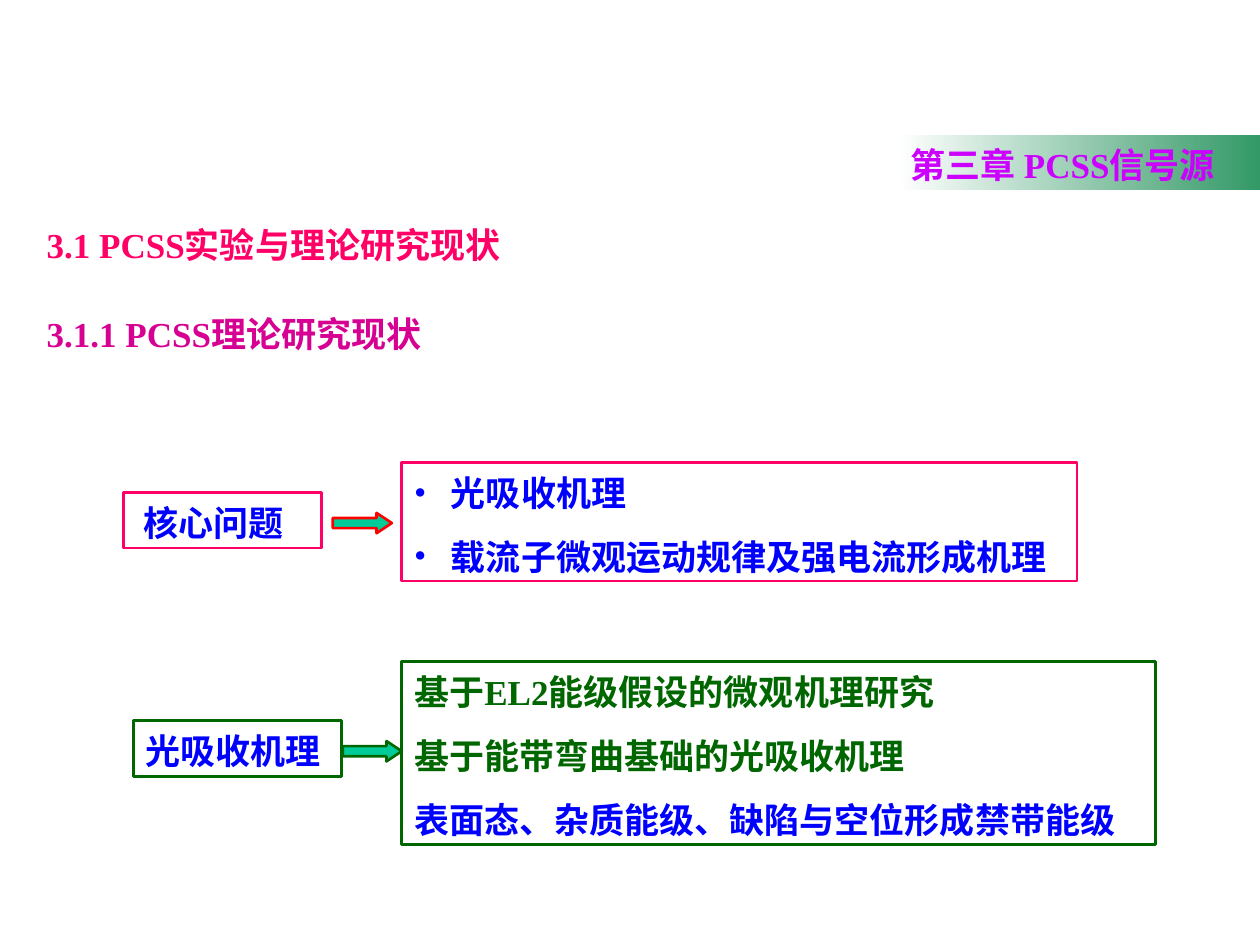
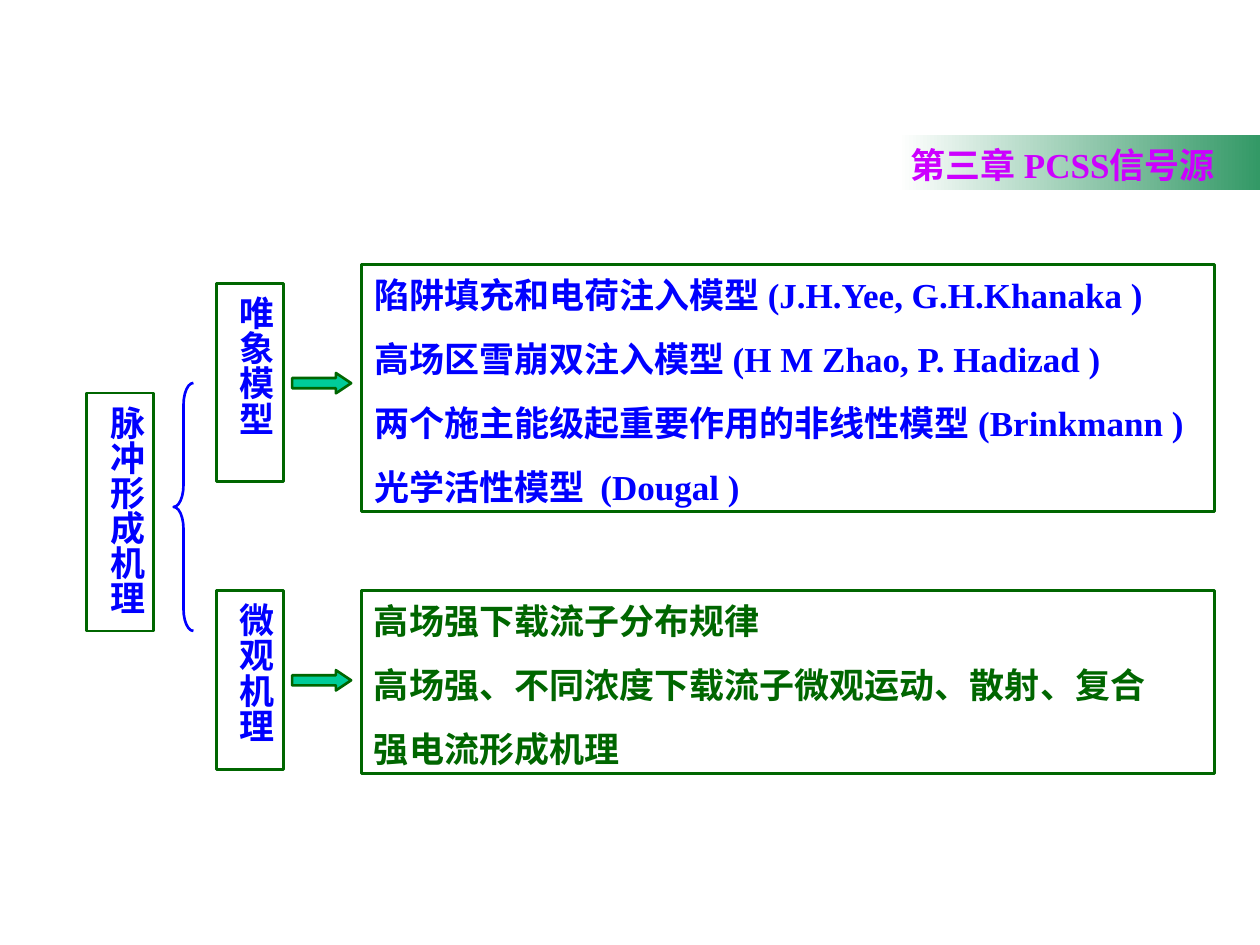
from lxml.etree import SubElement
from pptx import Presentation
from pptx.dml.color import RGBColor
from pptx.enum.shapes import MSO_SHAPE as Preset
from pptx.enum.text import MSO_ANCHOR as Anchor, MSO_AUTO_SIZE as AutoSize, PP_ALIGN as Align
from pptx.oxml.ns import qn
from pptx.util import Cm, Pt

COLOURS = {
    "white": "FFFFFF", "band": "339966", "chapter": "CC00FF",
    "pink": "FF0066", "magenta": "D60093", "blue": "0000FF",
    "green": "006600", "red": "FF0000", "arrow": "00CC99",
}
LATIN, CHINESE = "Times New Roman", "Noto Sans CJK SC"
CHAPTER = "第三章 PCSS信号源"
ROW = 1.12  # height of a one-line box, cm


def colour(name):
    return RGBColor.from_string(COLOURS[name])


class Builder:
    """Holds the deck's style and the page being filled."""

    def __init__(self):
        self.deck = Presentation()
        self.deck.slide_width, self.deck.slide_height = Cm(25.4), Cm(19.05)
        self.page = None

    def new_page(self):
        """Start a page with the chapter band as its title."""
        self.page = self.deck.slides.add_slide(self.deck.slide_layouts[1])
        band = self.page.shapes.title
        self.place(band, 18.11, 2.72, 7.29, ROW)
        band.fill.gradient()
        band.fill.gradient_angle = 0
        for stop, name in zip(band.fill.gradient_stops, ("white", "band")):
            stop.color.rgb = colour(name)
        self.set_text(band, [CHAPTER], "chapter")

    def place(self, shape, left, top, width, height):
        shape.left, shape.top = Cm(left), Cm(top)
        shape.width, shape.height = Cm(width), Cm(height)

    def outline(self, shape, name):
        shape.line.color.rgb = colour(name)
        shape.line.width = Pt(1.5)

    def set_text(self, shape, lines, ink, bullet=False, vertical=False):
        """Fill a shape with lines; a line may be a (text, colour) pair."""
        frame = shape.text_frame
        frame.word_wrap = True
        frame.auto_size = AutoSize.NONE
        frame.vertical_anchor = Anchor.TOP
        if vertical:
            frame._txBody.bodyPr.set("vert", "eaVert")
            frame.margin_left = frame.margin_right = Cm(0.13)
            frame.margin_top = frame.margin_bottom = Cm(0.25)
        else:
            frame.margin_left = frame.margin_right = Cm(0.25)
            frame.margin_top, frame.margin_bottom = Cm(0.18), Cm(0.08)
        for number, line in enumerate(lines):
            text, name = line if isinstance(line, tuple) else (line, ink)
            para = frame.add_paragraph() if number else frame.paragraphs[0]
            para.text = text
            para.alignment = Align.CENTER if vertical else Align.LEFT
            para.space_before = Pt(12.5 if number else 0)
            if not vertical:
                para.line_spacing = Pt(24)
            para.font.size, para.font.bold = Pt(20), True
            para.font.name = CHINESE if vertical else LATIN
            para.font.color.rgb = colour(name)
            self.finish(para, name, bullet)

    def finish(self, para, name, bullet):
        """Set the East Asian font, the indent and the bullet."""
        props = para._p.get_or_add_pPr()
        default = props.find(qn("a:defRPr"))
        SubElement(default, qn("a:ea")).set("typeface", CHINESE)
        indent = Cm(0.58) if bullet else 0
        props.set("marL", str(indent))
        props.set("indent", str(-indent))
        if bullet:
            tint = SubElement(props, qn("a:buClr"))
            SubElement(tint, qn("a:srgbClr")).set("val", COLOURS[name])
            SubElement(props, qn("a:buFont")).set("typeface", LATIN)
            SubElement(props, qn("a:buChar")).set("char", "•")
        else:
            SubElement(props, qn("a:buNone"))
        props.append(default)

    def heading(self, top, text, ink):
        box = self.page.shapes.add_textbox(Cm(0.69), Cm(top), Cm(13), Cm(ROW))
        self.set_text(box, [text], ink)

    def preset(self, kind, place, edge, fill=None):
        shape = self.page.shapes.add_shape(kind, *map(Cm, place))
        shape.shadow.inherit = False
        if fill:
            shape.fill.solid()
            shape.fill.fore_color.rgb = colour(fill)
        else:
            shape.fill.background()
        self.outline(shape, edge)
        return shape

    def box(self, place, lines, ink="blue", edge="green", vertical=False):
        shape = self.preset(Preset.RECTANGLE, place, edge)
        self.set_text(shape, lines, ink, vertical=vertical)

    def main_list(self, place, lines, edge="green", bullet=False):
        body = self.page.placeholders[1]
        self.place(body, *place)
        self.outline(body, edge)
        self.set_text(body, lines, "blue", bullet)

    def arrow(self, left, top, edge="green"):
        shape = self.preset(Preset.RIGHT_ARROW, (left, top, 1.19, 0.41), edge, "arrow")
        shape.adjustments[0], shape.adjustments[1] = 0.5, 0.75

    def brace(self, place):
        shape = self.preset(Preset.LEFT_BRACE, place, "blue")
        shape.adjustments[0], shape.adjustments[1] = 1.1, 0.5


def theory_page(build):
    build.new_page()
    build.heading(4.32, "3.1 PCSS实验与理论研究现状", "pink")
    build.heading(6.12, "3.1.1 PCSS理论研究现状", "magenta")

    # Core questions
    build.box((2.49, 9.93, 3.99, ROW), [" 核心问题"], edge="pink")
    build.arrow(6.71, 10.34, "red")
    build.main_list((8.1, 9.32, 13.61, 2.39),
                    [" 光吸收机理", " 载流子微观运动规律及强电流形成机理"],
                    edge="pink", bullet=True)

    # Light absorption
    build.box((2.69, 14.53, 4.19, ROW), ["光吸收机理"])
    build.arrow(6.91, 14.94)
    build.box((8.1, 13.34, 15.19, 3.68),
              ["基于EL2能级假设的微观机理研究",
               "基于能带弯曲基础的光吸收机理",
               ("表面态、杂质能级、缺陷与空位形成禁带能级", "blue")], "green")


def pulse_page(build):
    build.new_page()

    # Root and its two branches
    build.box((1.75, 7.92, 1.35, 4.8), ["脉冲形成机理"], vertical=True)
    build.brace((3.5, 7.72, 0.4, 5))
    for name, top, height, arrow_top in (("唯象模型", 5.72, 3.99, 7.52),
                                         ("微观机理", 11.91, 3.61, 13.51)):
        build.box((4.37, top, 1.35, height), [name], vertical=True)
        build.arrow(5.89, arrow_top)

    # Models and mechanisms
    build.main_list((7.29, 5.33, 17.2, 4.98),
                    ["陷阱填充和电荷注入模型 (J.H.Yee, G.H.Khanaka )",
                     "高场区雪崩双注入模型 (H M Zhao, P. Hadizad )",
                     "两个施主能级起重要作用的非线性模型 (Brinkmann )",
                     "光学活性模型  (Dougal )"])
    build.box((7.29, 11.91, 17.2, 3.68),
              ["高场强下载流子分布规律",
               "高场强、不同浓度下载流子微观运动、散射、复合",
               "强电流形成机理"], "green")


def main():
    build = Builder()
    theory_page(build)
    pulse_page(build)
    build.deck.save("out.pptx")


if __name__ == "__main__":
    main()
